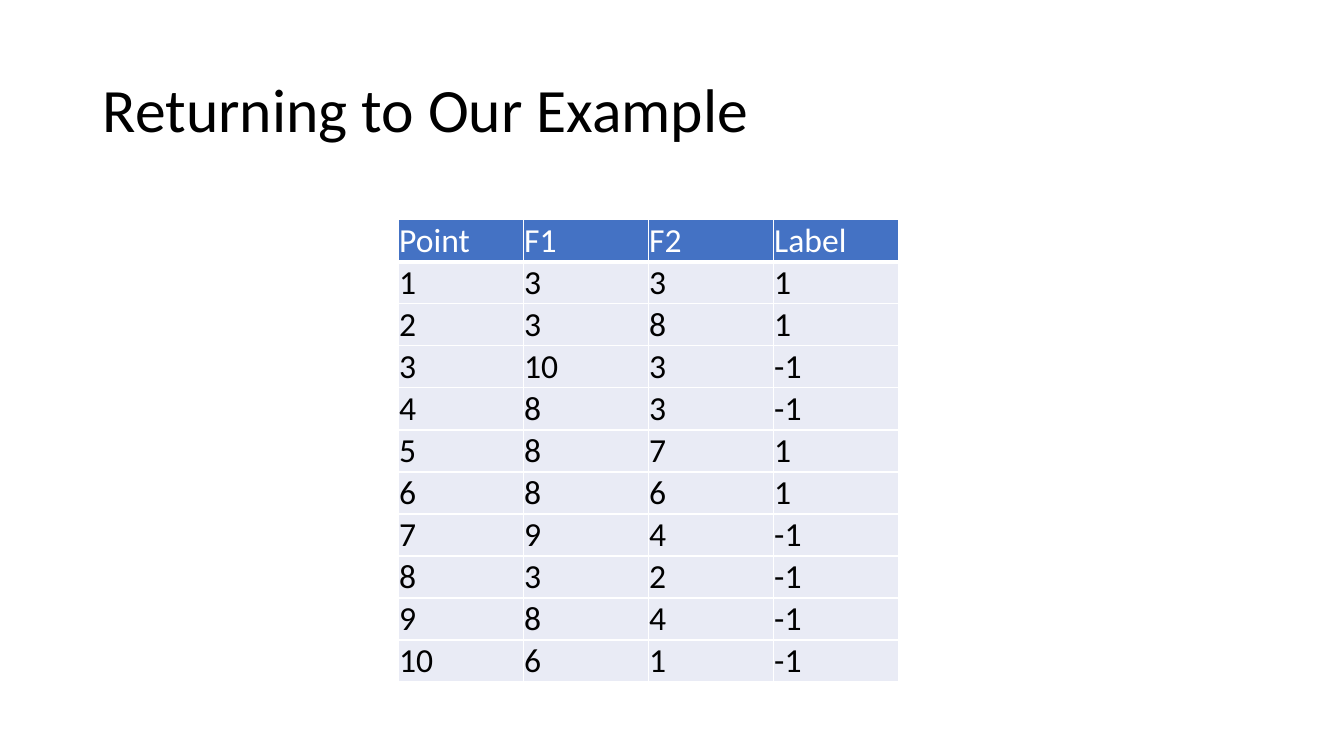
from lxml import etree
from pptx import Presentation
from pptx.dml.color import RGBColor
from pptx.enum.text import MSO_ANCHOR, MSO_AUTO_SIZE, PP_ALIGN
from pptx.oxml.ns import qn
from pptx.util import Inches, Pt

LEFT = PP_ALIGN.LEFT
MIDDLE, BOTTOM = MSO_ANCHOR.MIDDLE, MSO_ANCHOR.BOTTOM
NO_FIT = MSO_AUTO_SIZE.NONE

WIDTH, HEIGHT = Inches(13.33), Inches(7.5)
COL, ROW = Inches(1.24), Inches(0.41)
COLORS = {"text": "000000", "header": "4472C4", "body": "E9EBF5", "white": "FFFFFF"}

HEADER = ("Point", "F1", "F2", "Label")
POINTS = [
    (3, 3, 1), (3, 8, 1), (10, 3, -1), (8, 3, -1), (8, 7, 1),
    (8, 6, 1), (9, 4, -1), (3, 2, -1), (8, 4, -1), (6, 1, -1),
]

TITLE_BOX = {"left": int(WIDTH * 0.069), "top": int(HEIGHT * 0.053),
             "width": int(WIDTH * 0.8627), "height": int(HEIGHT * 0.193)}
TITLE_FRAME = {"word_wrap": True, "auto_size": NO_FIT, "vertical_anchor": MIDDLE}
TITLE_PARAGRAPH = {"alignment": LEFT, "line_spacing": 0.9}
CELL = {"vertical_anchor": BOTTOM, "margin_left": Inches(0.01),
        "margin_right": Inches(0.01), "margin_top": Inches(0.01), "margin_bottom": 0}


def apply(target, formats):
    for name, value in formats.items():
        setattr(target, name, value)


def write(p, text, size, color):
    r = p.add_run()
    r.text = text
    apply(r.font, {"name": "Calibri", "size": Pt(size), "bold": False})
    r.font.color.rgb = RGBColor.from_string(COLORS[color])


def set_borders(cell, widths):
    props = cell._tc.get_or_add_tcPr()
    for i, (side, width) in enumerate(widths.items()):
        line = etree.Element(qn(f"a:ln{side}"), w=str(Pt(width)))
        fill = etree.SubElement(line, qn("a:solidFill"))
        etree.SubElement(fill, qn("a:srgbClr"), val=COLORS["white"])
        props.insert(i, line)


def add_title(slide, text):
    sp = slide.shapes.title
    apply(sp, TITLE_BOX)
    tf = sp.text_frame
    apply(tf, TITLE_FRAME)
    p = tf.paragraphs[0]
    apply(p, TITLE_PARAGRAPH)
    write(p, text, 44, "text")


def format_cell(cell, text, is_header):
    apply(cell, CELL)
    cell.fill.solid()
    cell.fill.fore_color.rgb = RGBColor.from_string(COLORS["header" if is_header else "body"])
    set_borders(cell, {"L": 1, "R": 1, "T": 1, "B": 3 if is_header else 1})
    write(cell.text_frame.paragraphs[0], text, 24, "white" if is_header else "text")


def add_points_table(slide, rows):
    n_rows, n_cols = len(rows), len(rows[0])
    frame = slide.shapes.add_table(n_rows, n_cols, int(WIDTH * 0.2963), int(HEIGHT * 0.2907),
                                   COL * n_cols, ROW * n_rows)
    table = frame.table
    table.horz_banding = False
    for i, values in enumerate(rows):
        table.rows[i].height = ROW
        for j, value in enumerate(values):
            format_cell(table.cell(i, j), str(value), i == 0)


def main():
    prs = Presentation()
    apply(prs, {"slide_width": WIDTH, "slide_height": HEIGHT})
    slide = prs.slides.add_slide(prs.slide_layouts[5])
    add_title(slide, "Returning to Our Example")
    add_points_table(slide, [HEADER] + [(n, *point) for n, point in enumerate(POINTS, 1)])
    prs.save("out.pptx")


if __name__ == "__main__":
    main()
